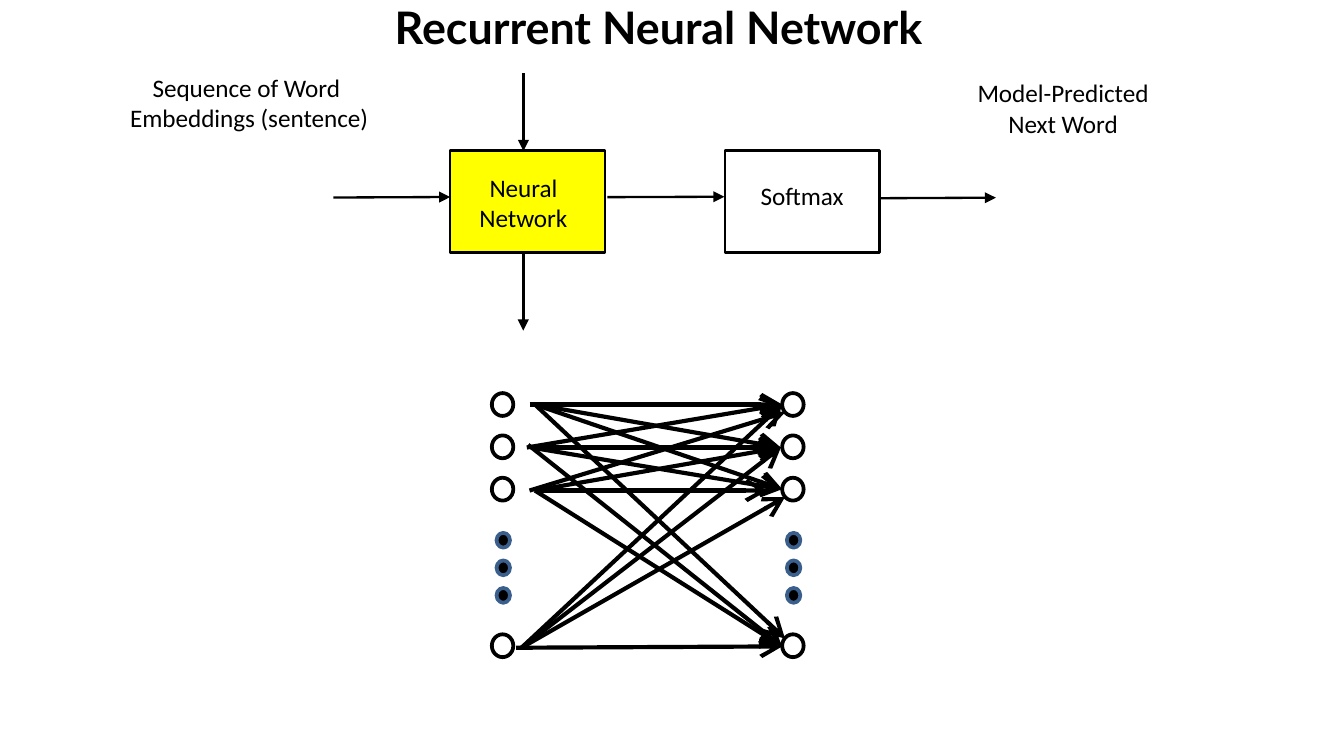
import itertools

import lxml.etree
import pptx
import pptx.dml.color
import pptx.enum.shapes
import pptx.enum.text
import pptx.oxml.ns
import pptx.util

SHAPE = pptx.enum.shapes.MSO_SHAPE
COLUMNS, ROWS = 1000, 562.5
WIDTH = pptx.util.Inches(10)
HEIGHT = pptx.util.Emu(WIDTH * 9 // 16)

NEURON_ROWS = (292.5, 324, 355.5, 472)
DOT_ROWS = (396.5, 417, 437.5)
INPUT_STARTS = ((398, 301), (395, 333), (398, 365), (388, 482))
OUTPUT_ENDS = ((582, 301), (581, 333), (582, 364), (582, 481))
ADJUSTED_LINKS = {
    (0, 0): (394, 301, 582, 301),
    (0, 3): (398, 301, 584, 475),
    (1, 0): (392, 333, 582, 301),
    (1, 3): (393, 331, 582, 481),
    (2, 0): (394, 365, 584, 307),
    (2, 2): (398, 365, 571, 365),
    (3, 2): (388, 482, 584, 370),
    (3, 3): (384, 482, 582, 481),
}
FLOW_ARROWS = (
    (248, 147, 335, 146.6, 1.25),
    (389.5, 54.5, 389.5, 112.4, 1.5),
    (452, 146.7, 539, 146.4, 1.25),
    (655, 147.5, 741, 147.1, 1.25),
    (389.3, 188, 389.3, 246, 1.5),
)
LABELS = (
    (85.4, 49, 200, 56, ("Sequence of Word ", "Embeddings (sentence)")),
    (716, 53, 150, 56, ("Model-Predicted", "Next Word")),
    (555.4, 129, 83, 33, ("Softmax",)),
    (346, 123.4, 87, 56, ("Neural", "Network")),
)


def color(value):
    return pptx.dml.color.RGBColor.from_string(value)


def grid(*cells):
    steps = itertools.cycle((WIDTH / COLUMNS, HEIGHT / ROWS))
    return [round(cell * step) for cell, step in zip(cells, steps)]


def write(tf, lines, size, name, bold=False):
    formats = {"size": pptx.util.Pt(size), "name": name, "bold": bold}
    for i, line in enumerate(lines):
        p = tf.paragraphs[0] if i == 0 else tf.add_paragraph()
        p.alignment = pptx.enum.text.PP_ALIGN.CENTER
        r = p.add_run()
        r.text = line
        for key, value in formats.items():
            setattr(r.font, key, value)
        r.font.color.rgb = color("000000")


def add_title(s, text):
    sp = s.shapes.title
    sp.left, sp.top, sp.width, sp.height = grid(40, -27, 900, 94)
    sp.text_frame.vertical_anchor = pptx.enum.text.MSO_ANCHOR.MIDDLE
    write(sp.text_frame, [text], 24, "Lato", True)


def add_label(s, left, top, width, height, lines):
    tf = s.shapes.add_textbox(*grid(left, top, width, height)).text_frame
    tf.word_wrap = False
    tf.auto_size = pptx.enum.text.MSO_AUTO_SIZE.SHAPE_TO_FIT_TEXT
    write(tf, lines, 13.5, "Calibri")


def add_outlined(shapes, kind, cells, fill, line, weight):
    sp = shapes.add_shape(kind, *grid(*cells))
    sp.shadow.inherit = False
    if fill:
        sp.fill.solid()
        sp.fill.fore_color.rgb = color(fill)
    else:
        sp.fill.background()
    sp.line.color.rgb = color(line)
    sp.line.width = pptx.util.Pt(weight)


def add_arrow(s, cells, weight, **head):
    kind = pptx.enum.shapes.MSO_CONNECTOR.STRAIGHT
    sp = s.shapes.add_connector(kind, *grid(*cells))
    sp.line.color.rgb = color("000000")
    sp.line.width = pptx.util.Pt(weight)
    qn = pptx.oxml.ns.qn
    properties = sp._element.spPr
    lxml.etree.SubElement(properties.find(qn("a:ln")), qn("a:tailEnd"), **head)
    lxml.etree.SubElement(properties, qn("a:effectLst"))


def add_layer(s, left):
    shapes = s.shapes.add_group_shape().shapes
    circle = SHAPE.FLOWCHART_CONNECTOR
    for row in NEURON_ROWS:
        add_outlined(shapes, circle, (left, row, 16, 17), "FFFFFF", "000000", 2)
    for row in DOT_ROWS:
        add_outlined(shapes, circle, (left + 3.5, row, 10, 11), "000000", "3A5F8C", 2)


def add_links(s):
    for i, j in itertools.product(range(4), repeat=2):
        cells = ADJUSTED_LINKS.get((i, j), INPUT_STARTS[i] + OUTPUT_ENDS[j])
        add_arrow(s, cells, 2.25, type="arrow", w="lg", len="lg")


def main():
    prs = pptx.Presentation()
    prs.slide_width, prs.slide_height = WIDTH, HEIGHT
    s = prs.slides.add_slide(prs.slide_layouts[5])
    add_title(s, "Recurrent Neural Network")
    for left, fill in ((335, "FFFF00"), (539.5, None)):
        add_outlined(s.shapes, SHAPE.RECTANGLE, (left, 112, 115, 76), fill, "000000", 1.25)
    for *cells, weight in FLOW_ARROWS:
        add_arrow(s, cells, weight, type="triangle")
    for label in LABELS:
        add_label(s, *label)
    for left in (366, 582):
        add_layer(s, left)
    add_links(s)
    prs.save("out.pptx")


if __name__ == "__main__":
    main()
